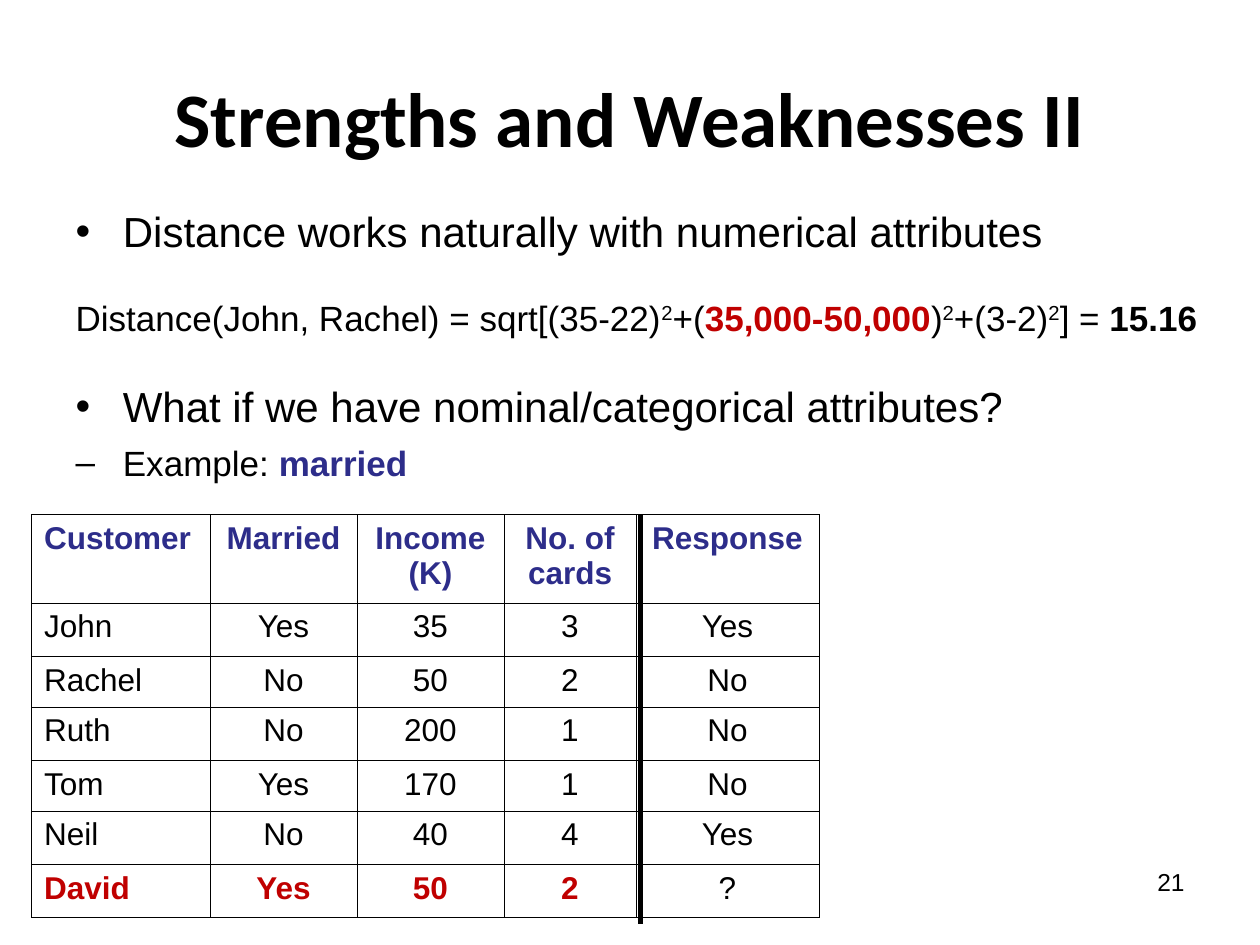
from lxml import etree
from pptx import Presentation
from pptx.dml.color import RGBColor
from pptx.enum import shapes, text
from pptx.oxml.ns import qn
from pptx.util import Pt

BLACK = RGBColor(0, 0, 0)
WHITE = RGBColor(255, 255, 255)
RED = RGBColor(0xC0, 0, 0)
BLUE = RGBColor(0x2D, 0x2D, 0x8A)

LEFT, MID, RIGHT = (text.PP_ALIGN.LEFT, text.PP_ALIGN.CENTER,
                    text.PP_ALIGN.RIGHT)

# Body: level, size, space before, bullet, runs of (words, format)
SUP = {"sup": True}
BODY = [
    (0, 24, 6, "•", [("Distance works naturally with numerical attributes", {})]),
    (1, 20, 23, None, [
        ("Distance(John, Rachel) = sqrt[(35-22)", {}), ("2", SUP), ("+(", {}),
        ("35,000-50,000", {"color": RED, "bold": True}), (")", {}),
        ("2", SUP), ("+(3-2)", {}), ("2", SUP), ("] = ", {}),
        ("15.16", {"bold": True})]),
    (0, 24, 24, "•", [("What if we have nominal/categorical attributes?", {})]),
    (1, 20, 6, "–", [("Example: ", {}),
                     ("married", {"color": BLUE, "bold": True})]),
]

ROWS = [
    ["Customer", "Married", "Income\n(K)", "No. of cards", "Response"],
    ["John", "Yes", "35", "3", "Yes"],
    ["Rachel", "No", "50", "2", "No"],
    ["Ruth", "No", "200", "1", "No"],
    ["Tom", "Yes", "170", "1", "No"],
    ["Neil", "No", "40", "4", "Yes"],
    ["David", "Yes", "50", "2", "?"],
]
WIDTHS = [102, 84, 84, 75.5, 104.5]
HEIGHTS = [50.5, 30.5, 29, 30.5, 29, 30.5, 30.5]


def place(shape, *box):
    for name, val in zip(("left", "top", "width", "height"), box):
        setattr(shape, name, Pt(val))


def style(run, size, face="Arial", color=BLACK, bold=False, sup=False):
    for name, val in {"size": Pt(size), "name": face, "bold": bold}.items():
        setattr(run.font, name, val)
    run.font.color.rgb = color
    if sup:
        run.font._element.set("baseline", "30000")


def write(frame, words, size, align, **form):
    frame.text = words
    for para in frame.paragraphs:
        para.alignment = align
        for run in para.runs:
            style(run, size, **form)


def bullet(para, mark):
    props = para._p.get_or_add_pPr()
    hang = Pt(27)
    props.set("marL", str(hang))
    props.set("indent", str(-hang))
    if mark:
        etree.SubElement(props, qn("a:buFont")).set("typeface", "Arial")
        etree.SubElement(props, qn("a:buChar")).set("char", mark)
    else:
        etree.SubElement(props, qn("a:buNone"))


def add_body(shape):
    place(shape, 36, 114, 660, 368.5)
    frame = shape.text_frame
    frame.auto_size = text.MSO_AUTO_SIZE.NONE
    for i, (level, size, gap, mark, runs) in enumerate(BODY):
        para = frame.add_paragraph() if i else frame.paragraphs[0]
        form = {"level": level, "space_before": Pt(gap), "alignment": LEFT}
        for name, val in form.items():
            setattr(para, name, val)
        bullet(para, mark)
        for words, look in runs:
            run = para.add_run()
            run.text = words
            style(run, size, **look)


def border(cell):
    props = cell._tc.get_or_add_tcPr()
    for i, side in enumerate(("lnL", "lnR", "lnT", "lnB")):
        line = etree.Element(qn("a:" + side), w=str(Pt(0.45)))
        fill = etree.SubElement(line, qn("a:solidFill"))
        etree.SubElement(fill, qn("a:srgbClr")).set("val", str(BLACK))
        props.insert(i, line)


def look(row, col):
    if row == 0:
        return {"color": BLUE, "bold": True}
    if row == len(ROWS) - 1 and col < len(WIDTHS) - 1:
        return {"color": RED, "bold": True}
    return {}


def add_grid(slide, left, top):
    grid = slide.shapes.add_table(
        len(ROWS), len(WIDTHS), Pt(left), Pt(top),
        Pt(sum(WIDTHS)), Pt(sum(HEIGHTS))).table
    for col, width in zip(grid.columns, WIDTHS):
        col.width = Pt(width)
    for row, height in zip(grid.rows, HEIGHTS):
        row.height = Pt(height)
    for r, row in enumerate(ROWS):
        for c, words in enumerate(row):
            cell = grid.cell(r, c)
            write(cell.text_frame, words, 18, MID if c else LEFT, **look(r, c))
            cell.fill.solid()
            cell.fill.fore_color.rgb = WHITE
            border(cell)


def add_rule(slide, x, top, end):
    rule = slide.shapes.add_connector(
        shapes.MSO_CONNECTOR.STRAIGHT, Pt(x), Pt(top), Pt(x), Pt(end))
    rule.line.color.rgb = BLACK
    rule.line.width = Pt(2.5)
    etree.SubElement(rule._element.spPr, qn("a:effectLst"))


def main():
    deck = Presentation()
    deck.slide_width, deck.slide_height = Pt(720), Pt(540)
    slide = deck.slides.add_slide(deck.slide_layouts[1])
    title, body = slide.placeholders

    # Title and list
    place(title, 36, 21.5, 648, 90)
    title.text_frame.vertical_anchor = text.MSO_ANCHOR.MIDDLE
    write(title.text_frame, "Strengths and Weaknesses II", 44, MID,
          face="Calibri", bold=True)
    add_body(body)

    # Customer table, with a rule before the response
    add_grid(slide, 18, 294)
    add_rule(slide, 366, 294, 528)

    # Page number
    page = slide.shapes.add_textbox(Pt(516), Pt(492), Pt(168), Pt(37.5))
    page.text_frame.word_wrap = True
    write(page.text_frame, "21", 14, RIGHT)

    deck.save("out.pptx")


if __name__ == "__main__":
    main()
